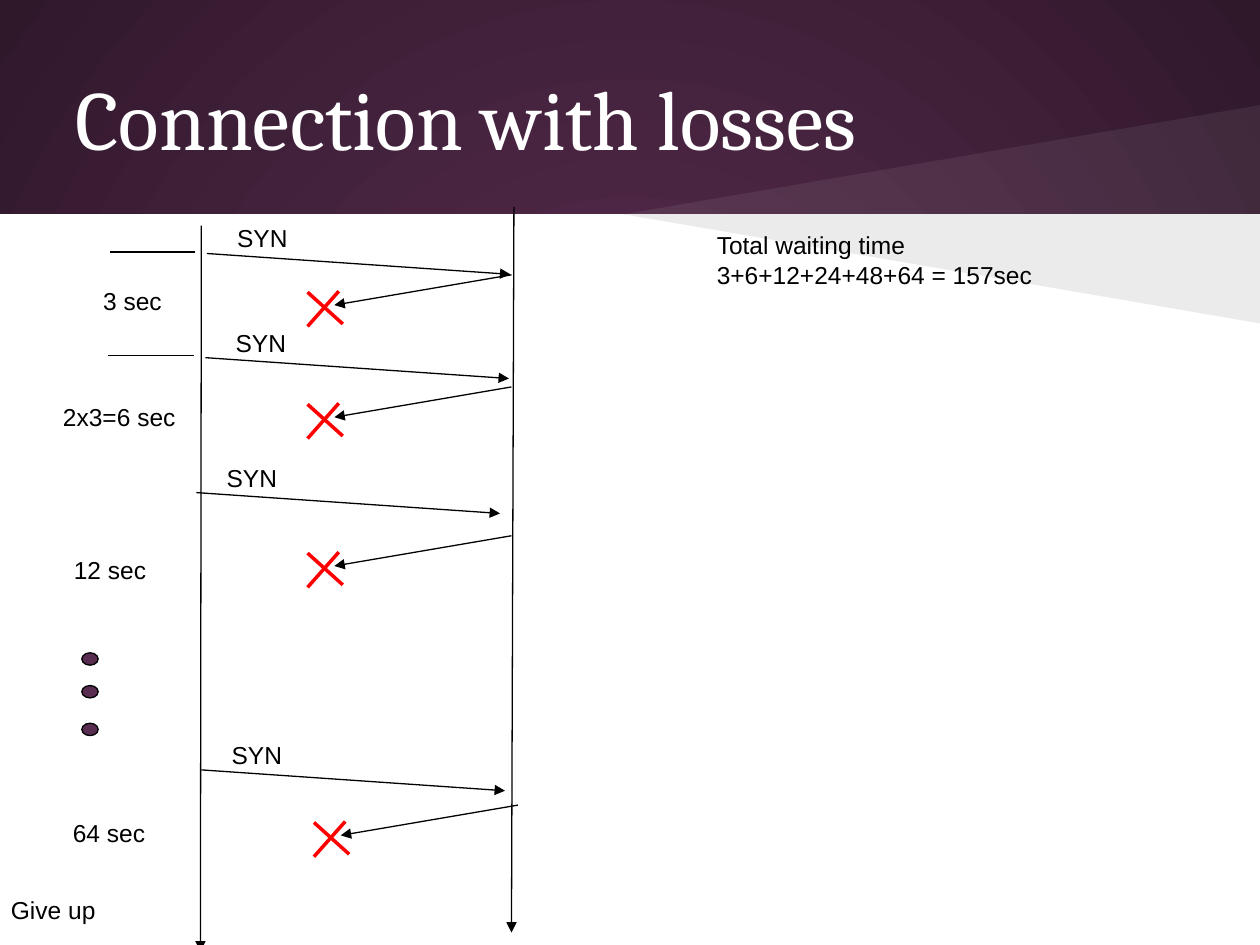
from lxml import etree
from pptx import Presentation
from pptx.dml.color import RGBColor
from pptx.enum import shapes, text
from pptx.oxml import ns
from pptx.util import Cm, Pt

COLORS = {"plum": "592D50", "dark": "30182B", "white": "FFFFFF",
          "black": "000000", "red": "FF0000"}

# Content; all positions in cm
TITLE = "Connection with losses"
LIFELINES = [((4.06, 4.55), (4.04, 19.18)), ((10.36, 4.17), (10.31, 18.8))]
TICKS = [((3.94, 5.08), (2.21, 5.08)), ((3.91, 7.16), (2.18, 7.16))]
# Start of each SYN and start of the reply that is lost
ATTEMPTS = [((4.17, 5.11), (10.31, 5.54)), ((4.14, 7.21), (10.31, 7.8)),
            ((3.96, 9.93), (10.31, 10.8)), ((4.06, 15.52), (10.44, 16.23))]
LABELS = [("3 sec", 1.83, 5.64, 1.9), ("2x3=6 sec", 1.02, 7.98, 3.2),
          ("12 sec", 1.24, 11.07, 2.16), ("64 sec", 1.22, 16.36, 2.24),
          ("Give up", -0.03, 17.91, 2.39)]
TOTAL = "Total waiting time\n3+6+12+24+48+64 = 157sec"
DOT_TOPS = [13.16, 13.82, 14.58]

# Geometry shared by every attempt, relative to its start
SYN_STEP, SYN_LABEL = (6.12, 0.42), (0.36, -0.73)
REPLY_STEP = (-3.57, 0.61)
CROSS = [((-4.11, 0.35), (-3.4, 0.99)), ((-4.11, 1.04), (-3.48, 0.33))]
WIDTH, HEIGHT, HORIZON = 25.4, 19.05, 4.32
BEAM_X, BEAM_RISE = 12.57, 2.2

prs = Presentation()
prs.slide_width, prs.slide_height = Cm(WIDTH), Cm(HEIGHT)
s = prs.slides.add_slide(prs.slide_layouts[6])


def rgb(name):
    return RGBColor.from_string(COLORS[name])


def shift(start, step):
    return start[0] + step[0], start[1] + step[1]


def paint(sp, color, line=None, alpha=None):
    sp.shadow.inherit = False
    sp.fill.solid()
    sp.fill.fore_color.rgb = rgb(color)
    if alpha is not None:
        clr = sp._element.spPr.find(".//" + ns.qn("a:srgbClr"))
        etree.SubElement(clr, ns.qn("a:alpha"), val=str(alpha * 1000))
    if line:
        sp.line.color.rgb = rgb(line)
        sp.line.width = Pt(0.75)
    else:
        sp.line.fill.background()


def add_line(start, end, color="black", width=0.75, arrow=False):
    c = s.shapes.add_connector(shapes.MSO_CONNECTOR.STRAIGHT,
                               *map(Cm, start), *map(Cm, end))
    c.line.color.rgb = rgb(color)
    c.line.width = Pt(width)
    if arrow:
        etree.SubElement(c.line._get_or_add_ln(), ns.qn("a:tailEnd"),
                         type="triangle")
    etree.SubElement(c._element.spPr, ns.qn("a:effectLst"))


def add_text(content, x, y, w, h=0.94, *, size=14, font="Arial",
             color="black", title=False):
    tf = s.shapes.add_textbox(Cm(x), Cm(y), Cm(w), Cm(h)).text_frame
    tf.word_wrap = title
    if title:
        tf.vertical_anchor = text.MSO_ANCHOR.MIDDLE
    else:
        tf.auto_size = text.MSO_AUTO_SIZE.SHAPE_TO_FIT_TEXT
    tf.text = content
    for p in tf.paragraphs:
        for r in p.runs:
            r.font.size, r.font.name = Pt(size), font
            r.font.color.rgb = rgb(color)


# Background: radial gradient
fill = s.background.fill
fill.gradient()
for stop, (name, pos) in zip(fill.gradient_stops, [("plum", 0), ("dark", 1)]):
    stop.color.rgb = rgb(name)
    stop.position = pos
lin = s._element.find(".//" + ns.qn("a:lin"))
radial = etree.Element(ns.qn("a:path"), path="circle")
etree.SubElement(radial, ns.qn("a:fillToRect"),
                 **dict.fromkeys("ltrb", "50000"))
lin.getparent().replace(lin, radial)

# White body and the two light beams
body = s.shapes.add_shape(shapes.MSO_SHAPE.RECTANGLE, 0, Cm(HORIZON),
                          Cm(WIDTH), Cm(HEIGHT - HORIZON))
paint(body, "white")
for rise, color, alpha in [(-BEAM_RISE, "white", 7), (BEAM_RISE, "black", 8)]:
    fb = s.shapes.build_freeform(Cm(WIDTH), Cm(HORIZON))
    fb.add_line_segments([(Cm(BEAM_X), Cm(HORIZON)),
                          (Cm(WIDTH), Cm(HORIZON + rise))], close=True)
    paint(fb.convert_to_shape(), color, alpha=alpha)

add_text(TITLE, 1.27, 0.76, 22.86, 3.18, size=48, font="Cambria",
         color="white", title=True)

# Lifelines and time ticks
for start, end in LIFELINES:
    add_line(start, end, arrow=True)
for start, end in TICKS:
    add_line(start, end)

# Attempts: SYN out, reply lost
for syn, reply in ATTEMPTS:
    add_line(syn, shift(syn, SYN_STEP), arrow=True)
    add_text("SYN", *shift(syn, SYN_LABEL), 1.7)
    add_line(reply, shift(reply, REPLY_STEP), arrow=True)
    for a, b in CROSS:
        add_line(shift(reply, a), shift(reply, b), color="red", width=2)

# Waiting times, ellipsis dots and total
for label in LABELS:
    add_text(*label)
for top in DOT_TOPS:
    dot = s.shapes.add_shape(shapes.MSO_SHAPE.OVAL, Cm(1.65), Cm(top),
                             Cm(0.33), Cm(0.25))
    paint(dot, "plum", line="black")
add_text(TOTAL, 14.2, 4.52, 7.67, 1.63)

prs.save("out.pptx")
